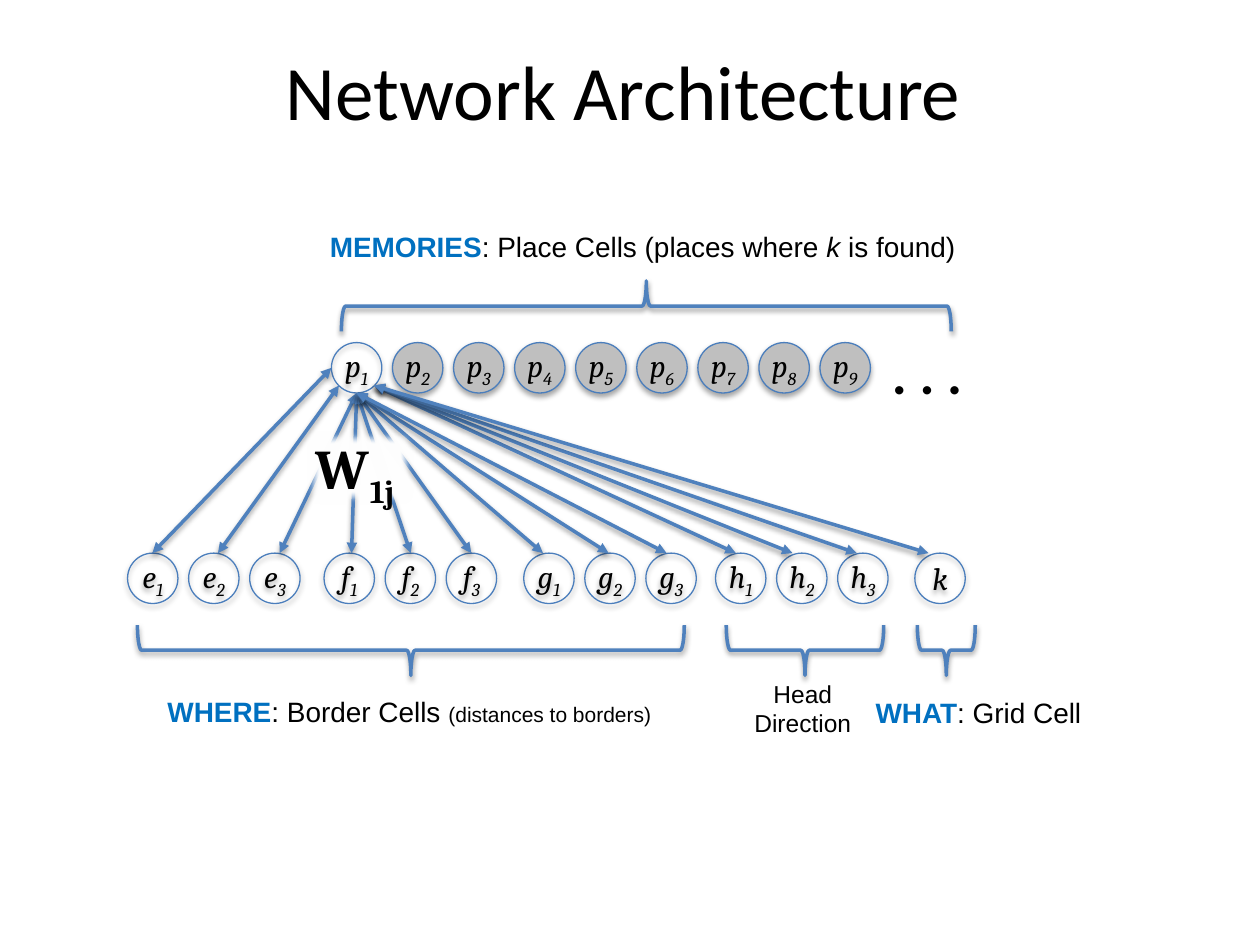
"""Build the Network Architecture slide: place cells wired to their input cells."""
from typing import NamedTuple

from lxml.etree import SubElement
from pptx import Presentation
from pptx.dml.color import RGBColor
from pptx.enum.shapes import MSO_CONNECTOR as CONN, MSO_SHAPE as SHAPE
from pptx.enum.text import MSO_ANCHOR as ANCHOR, MSO_AUTO_SIZE as AUTO, PP_ALIGN as ALIGN
from pptx.oxml.ns import qn
from pptx.util import Pt

BLACK = RGBColor(0x00, 0x00, 0x00)
WHITE = RGBColor(0xFF, 0xFF, 0xFF)
GRAY = RGBColor(0xBF, 0xBF, 0xBF)
BLUE = RGBColor(0x4F, 0x81, 0xBD)
RING = RGBColor(0x4B, 0x7E, 0xBC)
ACCENT = RGBColor(0x00, 0x70, 0xC0)

CELL = 28.8
PITCH = 34.9
PLACE_X, PLACE_Y = 189.4, 195.8
INPUT_Y = 316.1


class Run(NamedTuple):
    text: str
    size: float = 16
    font: str = "Arial"
    color: RGBColor = BLACK
    bold: bool = False
    italic: bool = False
    sub: bool = False


class Label(NamedTuple):
    x: float
    y: float
    w: float
    h: float
    lines: list[list[Run]]
    align: ALIGN = ALIGN.LEFT


class CellGroup(NamedTuple):
    name: str
    x: float
    y: float
    count: int


class Brace(NamedTuple):
    x: float
    y: float
    length: float
    rotation: int


class Link(NamedTuple):
    x: float
    end: tuple[float, float]


LEFT, LOWER_LEFT = (189.4, 210.2), (193.7, 220.3)
BOTTOM, LOWER_RIGHT = (203.8, 224.6), (213.8, 220.3)

GROUPS = [
    CellGroup("e", 72.9, INPUT_Y, 3),
    CellGroup("f", 185.2, INPUT_Y, 3),
    CellGroup("g", 299.3, INPUT_Y, 3),
    CellGroup("h", 408.9, INPUT_Y, 3),
    CellGroup("p", PLACE_X, PLACE_Y, 9),
    CellGroup("k", 522.8, INPUT_Y, 1),
]
BRACES = [
    Brace(78.5, 357.2, 312.5, 90),
    Brace(415, 357.2, 90, 90),
    Brace(524.2, 357.2, 33.1, 90),
    Brace(195.1, 160.5, 348.5, 270),
]
LINKS = [
    Link(87.1, LEFT),
    Link(124.6, LOWER_LEFT),
    *(Link(x, BOTTOM) for x in (159.8, 200.9, 234.7, 269.3, 310.3, 347.8, 380.9)),
    *(Link(x, LOWER_RIGHT) for x in (420.5, 452.9, 489.6, 530.6)),
]
DOTS = Label(502.6, 190.1, 54.7, 46.1, [[Run(". . .", 32, "Calibri", bold=True)]])
LABELS = [
    Label(88.6, 393.1, 293.8, 26.6, [[
        Run("WHERE", color=ACCENT, bold=True), Run(": Border Cells "),
        Run("(distances to borders)", 12)]]),
    Label(423.4, 384.5, 70.6, 41, [[Run("Head", 14)], [Run("Direction", 14)]], ALIGN.CENTER),
    Label(493.2, 393.8, 138.2, 26.6, [[
        Run("WHAT", color=ACCENT, bold=True), Run(": Grid Cell")]]),
    Label(181.4, 127.4, 376.6, 26.6, [[
        Run("MEMORIES", color=ACCENT, bold=True), Run(": Place Cells (places where "),
        Run("k", italic=True), Run(" is found)")]]),
]


def add_runs(p, runs: list[Run], align: ALIGN) -> None:
    p.alignment = align
    for run in runs:
        r = p.add_run()
        r.text = run.text
        r.font.size, r.font.name = Pt(run.size), run.font
        r.font.bold, r.font.italic = run.bold, run.italic
        r.font.color.rgb = run.color
        if run.sub:
            r.font._element.set("baseline", "-25000")


def add_shadow(sp, distance: float, alpha: int) -> None:
    sp_pr = sp._element.spPr
    effects = sp_pr.find(qn("a:effectLst"))
    if effects is None:
        effects = SubElement(sp_pr, qn("a:effectLst"))
    shadow = SubElement(effects, qn("a:outerShdw"), blurRad=str(Pt(3.1)),
                        dist=str(Pt(distance)), dir="5400000", rotWithShape="0")
    color = SubElement(shadow, qn("a:srgbClr"), val=str(BLACK))
    SubElement(color, qn("a:alpha"), val=str(alpha * 1000))


def add_label(s, label: Label) -> None:
    tf = s.shapes.add_textbox(Pt(label.x), Pt(label.y), Pt(label.w), Pt(label.h)).text_frame
    tf.word_wrap, tf.auto_size = False, AUTO.SHAPE_TO_FIT_TEXT
    for i, runs in enumerate(label.lines):
        p = tf.add_paragraph() if i else tf.paragraphs[0]
        add_runs(p, runs, label.align)


def add_cell(s, x: float, y: float, name: str, index: str, filled: bool) -> None:
    sp = s.shapes.add_shape(SHAPE.FLOWCHART_CONNECTOR, Pt(x), Pt(y), Pt(CELL), Pt(CELL))
    if filled:
        sp.fill.solid()
        sp.fill.fore_color.rgb = GRAY
    else:
        sp.fill.background()
    sp.line.color.rgb, sp.line.width = RING, Pt(0.75)
    sp.shadow.inherit = False
    add_shadow(sp, 1.8, 35)
    tf = sp.text_frame
    tf.vertical_anchor = ANCHOR.MIDDLE
    tf.margin_left = tf.margin_right = tf.margin_top = tf.margin_bottom = 0
    runs = [Run(name, 18, "Cambria", italic=True)]
    if index:
        runs.append(Run(index, 18, "Cambria", italic=True, sub=True))
    add_runs(tf.paragraphs[0], runs, ALIGN.CENTER)


def add_group(s, group: CellGroup) -> None:
    for i in range(group.count):
        index = str(i + 1) if group.count > 1 else ""
        add_cell(s, group.x + i * PITCH, group.y, group.name, index, group.name == "p" and i > 0)


def add_brace(s, brace: Brace) -> None:
    shift = (brace.length - CELL) / 2
    sp = s.shapes.add_shape(SHAPE.RIGHT_BRACE, Pt(brace.x + shift), Pt(brace.y - shift),
                            Pt(CELL), Pt(brace.length))
    sp.rotation = brace.rotation
    sp.fill.background()
    sp.line.color.rgb, sp.line.width = BLUE, Pt(2)
    sp.shadow.inherit = False
    add_shadow(sp, 1.6, 38)


def add_link(s, link: Link) -> None:
    x, y = link.end
    cxn = s.shapes.add_connector(CONN.STRAIGHT, Pt(link.x), Pt(INPUT_Y), Pt(x), Pt(y))
    cxn.line.color.rgb, cxn.line.width = BLUE, Pt(2)
    for tag in ("a:headEnd", "a:tailEnd"):
        SubElement(cxn.line._get_or_add_ln(), qn(tag), type="triangle")
    add_shadow(cxn, 1.6, 38)


def add_weight(s) -> None:
    sp = s.shapes.add_shape(SHAPE.RECTANGLE, Pt(173.5), Pt(244.1), Pt(64.8), Pt(46.1))
    sp.fill.solid()
    sp.fill.fore_color.rgb = WHITE
    sp.line.fill.background()
    sp.shadow.inherit = False
    SubElement(sp._element.spPr.find(qn("a:effectLst")), qn("a:softEdge"), rad=str(Pt(5)))
    tf = sp.text_frame
    tf.word_wrap, tf.vertical_anchor = True, ANCHOR.TOP
    add_runs(tf.paragraphs[0], [Run("W", 32, "Cambria", bold=True),
                                Run("1j", 32, "Cambria", bold=True, sub=True)], ALIGN.LEFT)


def add_title(s) -> None:
    tf = s.shapes.add_textbox(Pt(32.4), Pt(6.5), Pt(648), Pt(90)).text_frame
    tf.word_wrap, tf.vertical_anchor = True, ANCHOR.MIDDLE
    add_runs(tf.paragraphs[0], [Run("Network Architecture", 44, "Calibri")], ALIGN.CENTER)


def main() -> None:
    prs = Presentation()
    prs.slide_width, prs.slide_height = Pt(720), Pt(540)
    s = prs.slides.add_slide(prs.slide_layouts[6])
    add_title(s)
    for draw, items in ((add_group, GROUPS), (add_label, [DOTS]),
                        (add_brace, BRACES), (add_link, LINKS)):
        for item in items:
            draw(s, item)
    add_weight(s)
    for label in LABELS:
        add_label(s, label)
    prs.save("out.pptx")


if __name__ == "__main__":
    main()
